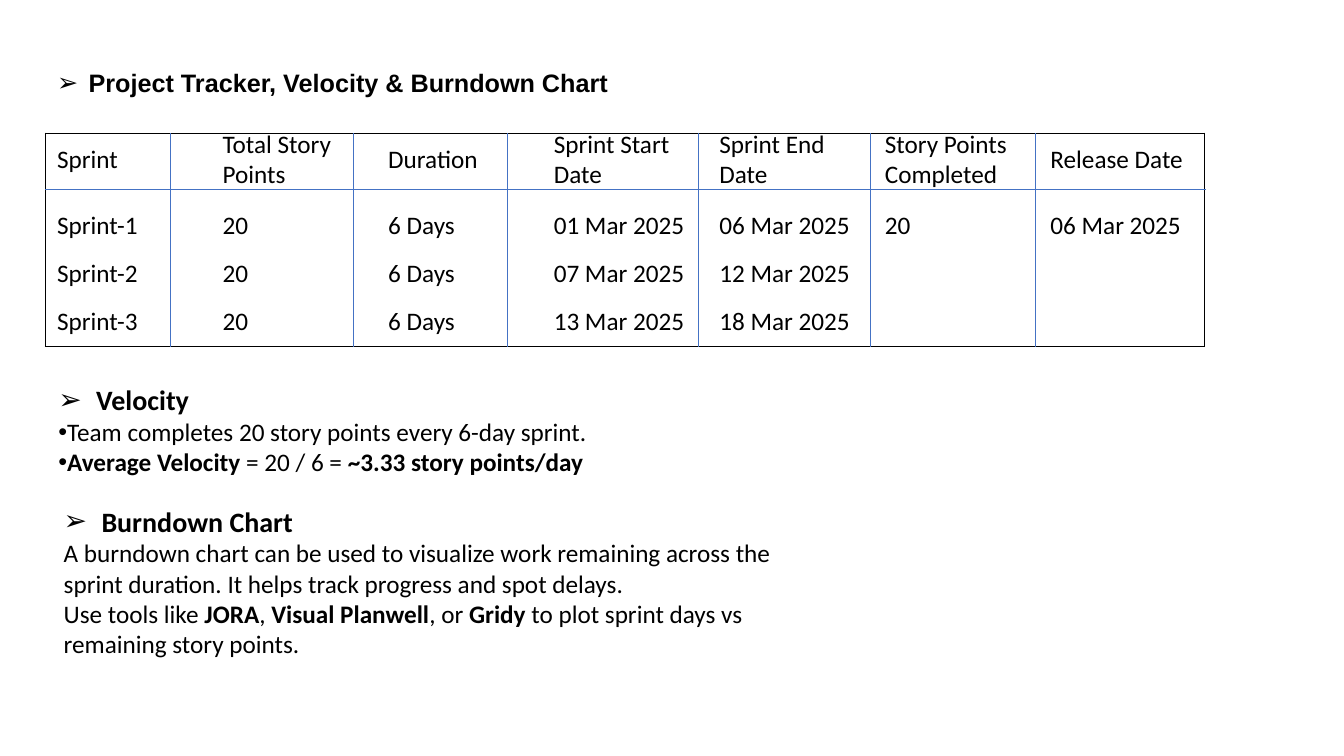
from lxml import etree
from pptx import Presentation
from pptx.dml.color import RGBColor
from pptx.enum.shapes import MSO_CONNECTOR
from pptx.enum.text import MSO_ANCHOR, MSO_AUTO_SIZE, PP_ALIGN
from pptx.oxml.ns import qn
from pptx.util import Pt

LINE = MSO_CONNECTOR.STRAIGHT
TOP, MID = MSO_ANCHOR.TOP, MSO_ANCHOR.MIDDLE
LEFT, FIXED = PP_ALIGN.LEFT, MSO_AUTO_SIZE.NONE
PLAIN = "{2D5ABB26-0587-4C30-8999-92F81FD0307C}"
COLORS = {"ink": "000000", "rule": "4472C4"}
INK = RGBColor.from_string(COLORS["ink"])
RULE = RGBColor.from_string(COLORS["rule"])


def write(para, text, size=18, face="Calibri", bold=False):
    """Fill a paragraph; | switches bold on or off, a newline breaks the line."""
    para.alignment = LEFT
    para.line_spacing = 1.0
    for part in text.split("|"):
        for i, piece in enumerate(part.split("\n")):
            if i:
                para.add_line_break()
            if piece:
                run = para.add_run()
                run.text = piece
                look = {"name": face, "size": Pt(size), "bold": bold}
                for key, value in look.items():
                    setattr(run.font, key, value)
                run.font.color.rgb = INK
        bold = not bold


def mark(para, char, indent=0):
    """Give a paragraph a bullet with a hanging indent in points."""
    props = para._p.get_or_add_pPr()
    props.set("marL", str(Pt(indent)))
    props.set("indent", str(-Pt(indent)))
    font = etree.SubElement(props, qn("a:buFont"))
    font.set("typeface", "Arial")
    etree.SubElement(props, qn("a:buChar")).set("char", char)


deck = Presentation()
deck.slide_width, deck.slide_height = Pt(960), Pt(540)
slide = deck.slides.add_slide(deck.slide_layouts[5])
shapes = slide.shapes

# Title
title = shapes.title
place = {"left": 33.6, "top": 44.4, "width": 500, "height": 29}
for key, value in place.items():
    setattr(title, key, Pt(value))
frame = title.text_frame
for key, value in {"vertical_anchor": TOP, "auto_size": FIXED,
                   "word_wrap": True}.items():
    setattr(frame, key, value)
para = frame.paragraphs[0]
write(para, "Project Tracker, Velocity & Burndown Chart", face="Arial", bold=True)
mark(para, "➢", 22.5)

# Sprint table and the one-cell table that frames it
ROWS = [
    ["Sprint", "Total Story Points", "Duration", "Sprint Start Date",
     "Sprint End Date", "Story Points Completed", "Release Date"],
    ["Sprint-1", "20", "6 Days", "01 Mar 2025", "06 Mar 2025", "20", "06 Mar 2025"],
    ["Sprint-2", "20", "6 Days", "07 Mar 2025", "12 Mar 2025", "", ""],
    ["Sprint-3", "20", "6 Days", "13 Mar 2025", "18 Mar 2025", "", ""],
]
TABLES = [
    ((33.6, 84, 828, 163.2), [60.3, 34.3, 34.3, 34.3], ROWS),
    ((32.4, 95.2, 828, 152.4), [152.4], [[""]]),
]
for box, heights, rows in TABLES:
    size = len(rows), len(rows[0])
    table = shapes.add_table(*size, *[Pt(v) for v in box]).table
    table.first_row = table.horz_banding = False
    table._tbl.tblPr.find(qn("a:tableStyleId")).text = PLAIN
    for i, texts in enumerate(rows):
        table.rows[i].height = Pt(heights[i])
        for j, text in enumerate(texts):
            cell = table.cell(i, j)
            cell.fill.background()
            cell.vertical_anchor = MID
            write(cell.text_frame.paragraphs[0], text)

props = table.cell(0, 0)._tc.get_or_add_tcPr()
for i, side in enumerate(("lnL", "lnR", "lnT", "lnB")):
    edge = etree.Element(qn("a:" + side), w=str(Pt(1)))
    fill = etree.SubElement(edge, qn("a:solidFill"))
    etree.SubElement(fill, qn("a:srgbClr")).set("val", COLORS["ink"])
    props.insert(i, edge)

# Rules across the table
rules = [(x, 95.2, x, 247.6) for x in (122, 252.2, 362.2, 499, 621.4, 739.4)]
rules.append((32.4, 135.4, 861.8, 135.4))
for ends in rules:
    rule = shapes.add_connector(LINE, *[Pt(v) for v in ends])
    rule.line.color.rgb = RULE
    rule.line.width = Pt(0.5)
    etree.SubElement(rule._element.spPr, qn("a:effectLst"))

# Notes below: box, heading, bullet of the lines, lines
NOTES = [
    ((34.6, 270, 682, 75), "Velocity", "•", [
        "Team completes 20 story points every 6-day sprint.",
        "|Average Velocity| = 20 / 6 = |~3.33 story points/day",
    ]),
    ((38.4, 356.6, 528.4, 119), "Burndown Chart", "", [
        "A burndown chart can be used to visualize work remaining across "
        "the sprint duration. It helps track progress and spot delays.\n"
        "Use tools like |JORA|, |Visual Planwell|, or |Gridy| to plot "
        "sprint days vs remaining story points.",
    ]),
]
for box, head, dot, lines in NOTES:
    frame = shapes.add_textbox(*[Pt(v) for v in box]).text_frame
    frame.word_wrap = True
    para = frame.paragraphs[0]
    write(para, head, size=20, bold=True)
    mark(para, "➢", 27)
    for text in lines:
        para = frame.add_paragraph()
        write(para, text)
        if dot:
            mark(para, dot)

deck.save("out.pptx")
